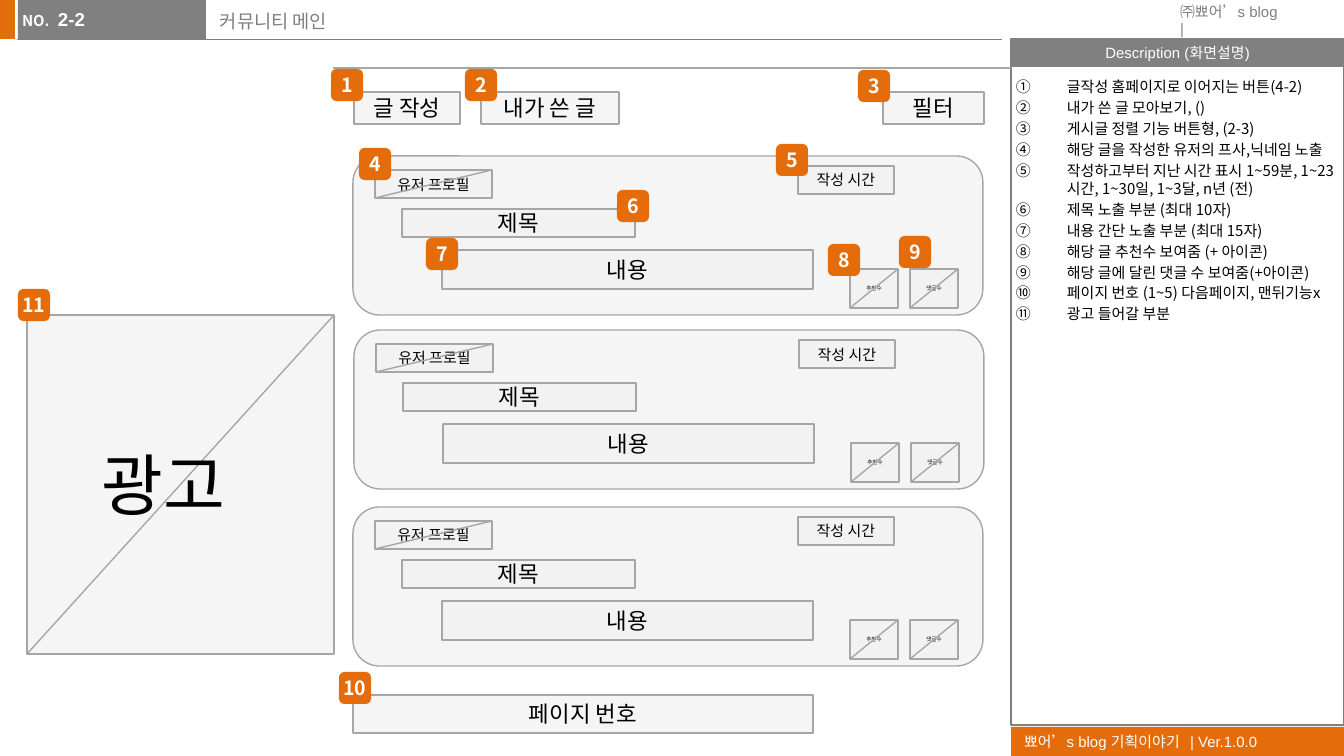
import dataclasses

import lxml.etree
import pptx
import pptx.dml.color
import pptx.enum.shapes
import pptx.enum.text
import pptx.oxml.ns
import pptx.util

EMU_PER_PX = 914400 / 134.4
SHAPE = pptx.enum.shapes.MSO_SHAPE
ANCHOR = pptx.enum.text.MSO_ANCHOR
ALIGN = pptx.enum.text.PP_ALIGN
qname = pptx.oxml.ns.qn


@dataclasses.dataclass(frozen=True)
class Theme:
    accent: str = "E46C0A"
    bar: str = "808080"
    outline: str = "A6A6A6"
    panel: str = "F2F2F2"
    ink: str = "000000"
    paper: str = "FFFFFF"
    korean: str = "Noto Sans CJK KR"
    latin: str = "Arial"
    tiny: float = 3
    small: float = 8
    heading: float = 10
    badge: float = 10.5
    label: float = 12
    poster: float = 36


THEME = Theme()

NOTES = [
    "글작성 홈페이지로 이어지는 버튼(4-2)",
    "내가 쓴 글 모아보기, ()",
    "게시글 정렬 기능 버튼형, (2-3)",
    "해당 글을 작성한 유저의 프사,닉네임 노출",
    "작성하고부터 지난 시간 표시 1~59분, 1~23시간, 1~30일, 1~3달, n년 (전)",
    "제목 노출 부분 (최대 10자)",
    "내용 간단 노출 부분 (최대 15자)",
    "해당 글 추천수 보여줌 (+ 아이콘)",
    "해당 글에 달린 댓글 수 보여줌(+아이콘)",
    "페이지 번호 (1~5) 다음페이지, 맨뒤기능x",
    "광고 들어갈 부분",
]

CARD_PARTS = [
    ((22, 14, 117, 28), "유저 프로필", THEME.small, True),
    ((445, 10, 96, 28), "작성 시간", THEME.small, False),
    ((49, 53, 233, 28), "제목", THEME.label, False),
    ((89, 94, 371, 39), "내용", THEME.label, False),
    ((497, 113, 48, 39), "추천수", THEME.tiny, True),
    ((557, 113, 48, 39), "댓글수", THEME.tiny, True),
]

BADGES = {
    1: (331, 69), 2: (465, 69), 3: (858, 70), 4: (359, 148), 5: (776, 144), 6: (617, 190),
    7: (426, 238), 8: (828, 244), 9: (899, 236), 10: (339, 672), 11: (18, 289),
}


def emu(*lengths):
    return [pptx.util.Emu(round(length * EMU_PER_PX)) for length in lengths]


def color(value):
    return pptx.dml.color.RGBColor.from_string(value)


def inside(box, part):
    return (box[0] + part[0], box[1] + part[1], *part[2:])


def apply(target, values):
    for name, value in values.items():
        setattr(target, name, value)


def write(para, text, size, ink=THEME.ink, face=THEME.korean, bold=False, **layout):
    span = para.add_run()
    span.text = text
    apply(span.font, {"size": pptx.util.Pt(size), "name": face, "bold": bold})
    span.font.color.rgb = color(ink)
    east_asian = lxml.etree.SubElement(span.font._element, qname("a:ea"))
    east_asian.set("typeface", THEME.korean)
    apply(para, layout)


def frame_text(shape, insets=(13, 7, 13, 7), wrap=True, anchor=ANCHOR.MIDDLE):
    frame = shape.text_frame
    sides = ("margin_left", "margin_top", "margin_right", "margin_bottom")
    apply(frame, dict(zip(sides, emu(*insets))))
    apply(frame, {"word_wrap": wrap, "vertical_anchor": anchor})
    return frame


def add_label(area, box, text, size, insets=(13, 7, 13, 7), wrap=True, anchor=ANCHOR.MIDDLE, **style):
    shape = area.add_textbox(*emu(*box))
    write(frame_text(shape, insets, wrap, anchor).paragraphs[0], text, size, **style)


def add_block(area, box, fill=None, outline=None, kind=SHAPE.RECTANGLE):
    shape = area.add_shape(kind, *emu(*box))
    shape.shadow.inherit = False
    if fill:
        shape.fill.solid()
        shape.fill.fore_color.rgb = color(fill)
    else:
        shape.fill.background()
    if outline:
        shape.line.color.rgb = color(outline)
        shape.line.width = pptx.util.Pt(0.75)
    else:
        shape.line.fill.background()
    return shape


def add_line(area, start, end, ink=THEME.outline, width=0.75):
    line = area.add_connector(pptx.enum.shapes.MSO_CONNECTOR.STRAIGHT, *emu(*start, *end))
    line.line.color.rgb = color(ink)
    line.line.width = pptx.util.Pt(width)
    lxml.etree.SubElement(line._element.spPr, qname("a:effectLst"))


def add_wire(area, box, text="", size=THEME.label, crossed=False, kind=SHAPE.RECTANGLE):
    shape = add_block(area, box, THEME.panel, THEME.outline, kind)
    fill_color = shape._element.spPr.find(qname("a:solidFill"))[0]
    lxml.etree.SubElement(fill_color, qname("a:alpha")).set("val", "70000")
    if text:
        write(frame_text(shape).paragraphs[0], text, size, alignment=ALIGN.CENTER)
    if crossed:
        left, top, width, height = box
        add_line(area, (left + width, top), (left, top + height))


def draw_header(area, box):
    add_block(area, inside(box, (-1, 0, 16, 39)), THEME.accent)
    add_line(area, (box[0] + 17, box[1] + 39), (box[0] + 1002, box[1] + 39), THEME.bar, 0.5)
    add_block(area, inside(box, (18, 0, 188, 39)), THEME.bar)
    add_label(area, inside(box, (9, 4, 55, 32)), "NO.", THEME.small, wrap=False,
              ink=THEME.paper, bold=True)
    add_label(area, inside(box, (58, 1, 148, 42)), "2-2", THEME.heading, insets=(0, 7, 0, 7),
              anchor=ANCHOR.TOP, ink=THEME.paper, face=THEME.latin, bold=True)
    add_label(area, inside(box, (207, 3, 794, 43)), "커뮤니티 메인", THEME.heading,
              anchor=ANCHOR.TOP, ink=THEME.bar, line_spacing=pptx.util.Pt(12))
    add_label(area, inside(box, (1167, 4, 128, 32)), "㈜뾰어’s blog |", THEME.small,
              wrap=False, ink=THEME.bar, face=THEME.latin)


def draw_description(area, box):
    width = box[2]
    title = add_block(area, inside(box, (0, 0, width, 28)), THEME.bar)
    write(frame_text(title, (12, 5, 12, 5), False).paragraphs[0], "Description (화면설명)",
          THEME.small, THEME.paper, THEME.latin, alignment=ALIGN.CENTER)
    add_block(area, inside(box, (0, 0, width, 686)), outline=THEME.bar)
    notes = area.add_textbox(*emu(*inside(box, (0, 32, width, 656))))
    frame = frame_text(notes, (5, 7, 0, 7), anchor=ANCHOR.TOP)
    indent = emu(51)[0]
    for index, note in enumerate(NOTES):
        para = frame.paragraphs[0] if index == 0 else frame.add_paragraph()
        properties = para._p.get_or_add_pPr()
        properties.set("marL", str(indent))
        properties.set("indent", str(-indent))
        bullet = lxml.etree.SubElement(properties, qname("a:buAutoNum"))
        bullet.set("type", "circleNumDbPlain")
        write(para, note, THEME.small, line_spacing=pptx.util.Pt(9.6),
              space_before=pptx.util.Pt(1.6 if index else 0))
    footer = add_block(area, inside(box, (0, 688, width, 29)), THEME.accent)
    write(frame_text(footer).paragraphs[0], "뾰어’s blog 기획이야기   | Ver.1.0.0",
          THEME.small, THEME.paper, THEME.latin, alignment=ALIGN.LEFT)


def draw_toolbar(area, box):
    add_line(area, (box[0] - 21, box[1] - 24), (box[0] + 657, box[1] - 24))
    for left, width, text in [(0, 106, "글 작성"), (127, 138, "내가 쓴 글"), (529, 101, "필터")]:
        add_wire(area, inside(box, (left, 0, width, box[3])), text)


def draw_advert(area, box):
    add_wire(area, box, crossed=True)
    add_label(area, inside(box, (31, 121, 211, 95)), "광고", THEME.poster, alignment=ALIGN.CENTER)


def draw_card(area, box):
    card = area.add_group_shape().shapes
    add_wire(card, box, kind=SHAPE.ROUNDED_RECTANGLE)
    for part, text, size, crossed in CARD_PARTS:
        add_wire(card, inside(box, part), text, size, crossed)


def draw_badge(area, box, number):
    shape = add_block(area, box, THEME.accent, kind=SHAPE.ROUNDED_RECTANGLE)
    write(frame_text(shape, (0, 7, 0, 7)).paragraphs[0], str(number), THEME.badge,
          THEME.paper, bold=True, alignment=ALIGN.CENTER)


def main():
    deck = pptx.Presentation()
    deck.slide_width, deck.slide_height = emu(1344, 756)
    page = deck.slides.add_slide(deck.slide_layouts[6])
    area = page.shapes
    draw_header(area, (0, 0, 1344, 39))
    draw_description(area, (1011, 39, 333, 717))
    draw_toolbar(area, (354, 92, 630, 32))
    draw_advert(area, (27, 315, 307, 339))
    for left, top in [(353, 156), (354, 330), (353, 507)]:
        draw_card(area, (left, top, 630, 159))
    add_wire(area, (353, 695, 460, 38), "페이지 번호")
    for number, corner in BADGES.items():
        draw_badge(area, (*corner, 32, 32), number)
    deck.save("out.pptx")


if __name__ == "__main__":
    main()
